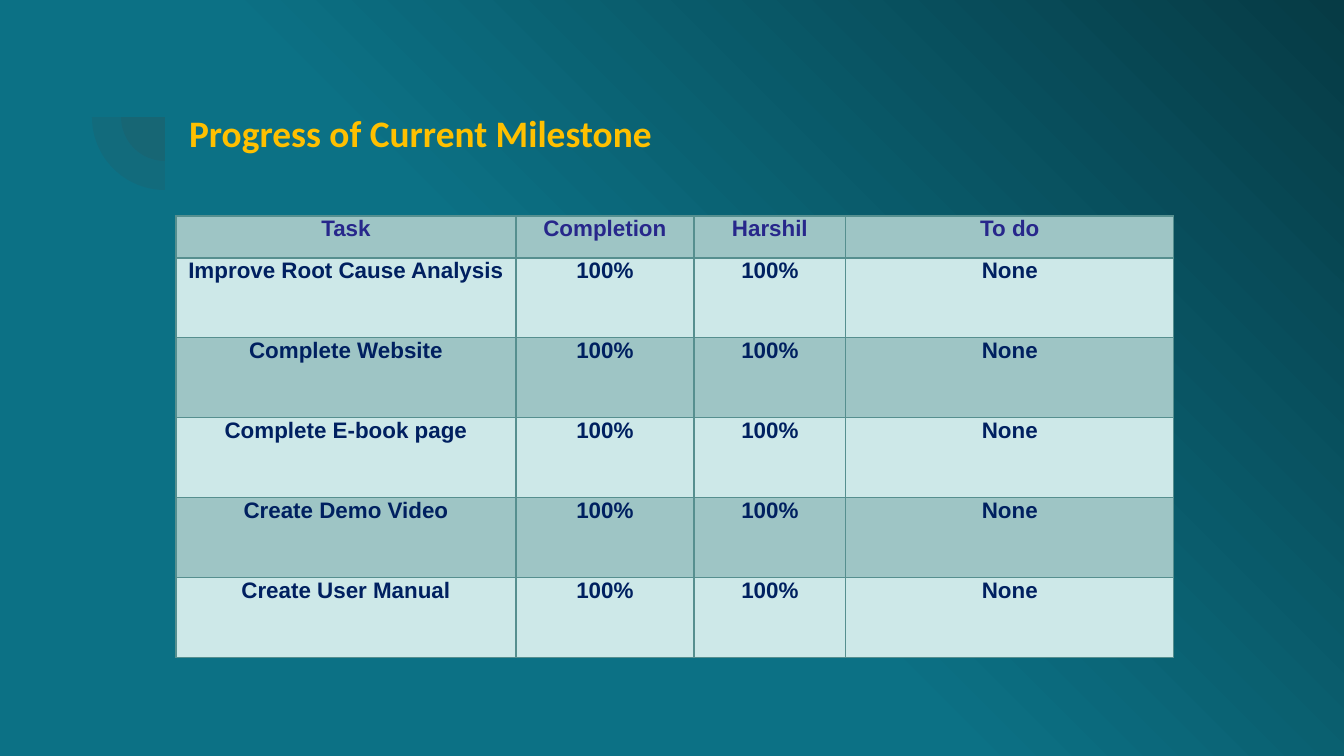
from lxml.etree import SubElement
from pptx import Presentation
from pptx.dml.color import RGBColor
from pptx.enum.shapes import MSO_SHAPE
from pptx.enum.text import MSO_ANCHOR, PP_ALIGN
from pptx.oxml import parse_xml
from pptx.oxml.ns import nsdecls, qn
from pptx.util import Pt

HEADINGS = ("Task", "Completion", "Harshil", "To do")
TASKS = (
    "Improve Root Cause Analysis",
    "Complete Website",
    "Complete E-book page",
    "Create Demo Video",
    "Create User Manual",
)
ROWS = [HEADINGS] + [(task, "100%", "100%", "None") for task in TASKS]
COLUMN_WIDTHS = (340, 178, 152, 328)
ROW_HEIGHTS = [42] + [80] * len(TASKS)
TABLE_LEFT, TABLE_TOP = 176, 216

PIE_CENTER = (165, 117)
PIE_RADII = (44, 73)
PIE_FORMAT = {"rotation": 270}
PIE_ANGLES = (108, 162)

BACKDROP_STOPS = ((0, "0C7185"), (46, "0C7185"), (100, "063B45"))
BAND_FILLS = ("9EC5C5", "CDE8E8")
BORDER = "568F8F"
TITLE_FORMAT = {"name": "Calibri", "size": Pt(20), "bold": True}
TABLE_FORMAT = {"name": "Arial", "size": Pt(12), "bold": True}


def px(length):
    return round(length * 914400 / 134.4)


def color(value):
    return RGBColor.from_string(value)


def apply(target, values):
    for key, value in values.items():
        setattr(target, key, value)


def margins(side, top):
    return {"margin_left": px(side), "margin_right": px(side),
            "margin_top": px(top), "margin_bottom": px(top)}


def write(paragraph, text, font_format, ink):
    run = paragraph.add_run()
    run.text = text
    apply(run.font, font_format)
    run.font.color.rgb = color(ink)


def paint_backdrop(slide):
    slide.background.fill.solid()
    solid = next(slide.element.iter(qn("a:solidFill")))
    stops = "".join(
        f'<a:gs pos="{position * 1000}"><a:srgbClr val="{tone}"/></a:gs>'
        for position, tone in BACKDROP_STOPS
    )
    gradient = parse_xml(
        f'<a:gradFill {nsdecls("a")} rotWithShape="1"><a:gsLst>{stops}</a:gsLst>'
        '<a:path path="circle"><a:fillToRect t="100000" r="100000"/></a:path>'
        '</a:gradFill>'
    )
    solid.getparent().replace(solid, gradient)


def add_pie(slide, radius):
    left, top = (center - radius for center in PIE_CENTER)
    pie = slide.shapes.add_shape(
        MSO_SHAPE.PIE, px(left), px(top), px(2 * radius), px(2 * radius))
    apply(pie, PIE_FORMAT)
    for index, angle in enumerate(PIE_ANGLES):
        pie.adjustments[index] = angle
    pie.shadow.inherit = False
    pie.line.fill.background()
    pie.fill.solid()
    pie.fill.fore_color.rgb = color("424242")
    tone = next(pie.element.spPr.iter(qn("a:srgbClr")))
    SubElement(tone, qn("a:alpha")).set("val", "12000")


def add_title(slide):
    title = slide.shapes.add_textbox(px(176), px(97), px(1034), px(99))
    apply(title.text_frame, {"word_wrap": True, "vertical_anchor": MSO_ANCHOR.TOP,
                             **margins(13, 13)})
    write(title.text_frame.paragraphs[0], "Progress of Current Milestone",
          TITLE_FORMAT, "FFC000")


def add_borders(cell):
    properties = cell._tc.get_or_add_tcPr()
    for side in ("lnL", "lnR", "lnT", "lnB"):
        properties.append(parse_xml(
            f'<a:{side} {nsdecls("a")} w="{Pt(0.75)}"><a:solidFill>'
            f'<a:srgbClr val="{BORDER}"/></a:solidFill></a:{side}>'))


def add_progress_table(slide):
    progress = slide.shapes.add_table(
        len(ROWS), len(HEADINGS), px(TABLE_LEFT), px(TABLE_TOP),
        px(sum(COLUMN_WIDTHS)), px(sum(ROW_HEIGHTS))).table
    for column, width in zip(progress.columns, COLUMN_WIDTHS):
        column.width = px(width)
    for row, height in zip(progress.rows, ROW_HEIGHTS):
        row.height = px(height)
    for row_index, entries in enumerate(ROWS):
        for column_index, entry in enumerate(entries):
            cell = progress.cell(row_index, column_index)
            apply(cell, {"vertical_anchor": MSO_ANCHOR.TOP, **margins(10, 0)})
            add_borders(cell)
            cell.fill.solid()
            cell.fill.fore_color.rgb = color(BAND_FILLS[row_index % 2])
            paragraph = cell.text_frame.paragraphs[0]
            paragraph.alignment = PP_ALIGN.CENTER
            write(paragraph, entry, TABLE_FORMAT, "002060" if row_index else "27278B")


def main():
    deck = Presentation()
    apply(deck, {"slide_width": px(1344), "slide_height": px(756)})
    slide = deck.slides.add_slide(deck.slide_layouts[6])
    paint_backdrop(slide)
    for radius in PIE_RADII:
        add_pie(slide, radius)
    add_title(slide)
    add_progress_table(slide)
    deck.save("out.pptx")


if __name__ == "__main__":
    main()
